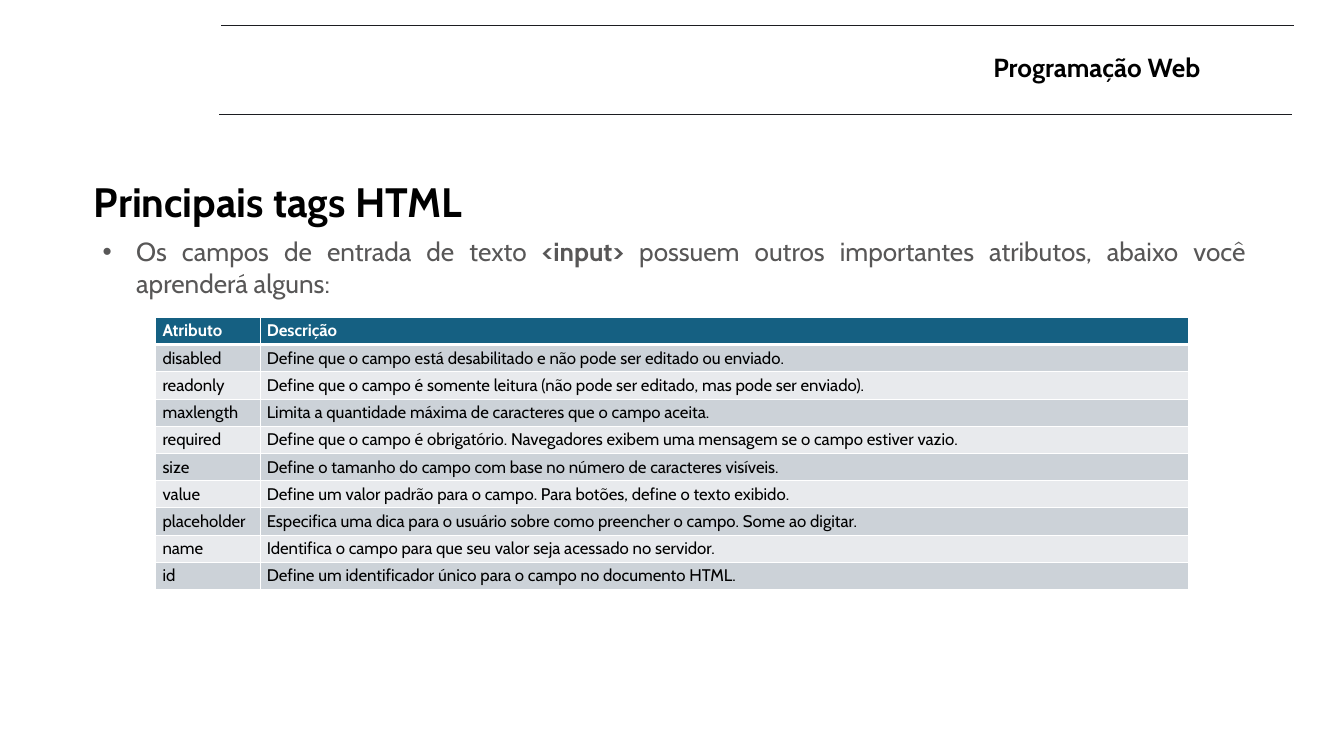
from typing import NamedTuple

from lxml import etree
from pptx import Presentation
from pptx.dml.color import RGBColor
from pptx.enum.shapes import MSO_CONNECTOR
from pptx.enum.text import MSO_ANCHOR, MSO_AUTO_SIZE, PP_ALIGN
from pptx.oxml.ns import qn
from pptx.util import Cm, Pt

FONT = "Cabin"
BLACK = RGBColor(0x00, 0x00, 0x00)
WHITE = RGBColor(0xFF, 0xFF, 0xFF)
GRAY = RGBColor(0x58, 0x57, 0x57)
RULE = RGBColor(0x1C, 0x1D, 0x21)
HEADER_FILL = RGBColor(0x15, 0x60, 0x82)
BAND_FILLS = (RGBColor(0xCC, 0xD2, 0xD8), RGBColor(0xE8, 0xEA, 0xED))

LEFT, CENTER, JUSTIFY = PP_ALIGN.LEFT, PP_ALIGN.CENTER, PP_ALIGN.JUSTIFY
MIDDLE = MSO_ANCHOR.MIDDLE
FIT_SHAPE = MSO_AUTO_SIZE.SHAPE_TO_FIT_TEXT
STRAIGHT = MSO_CONNECTOR.STRAIGHT

COLUMN_WIDTHS = (3.94, 35.08)
ROW_HEIGHT = 1.03


class HeaderRule(NamedTuple):
    left: float
    right: float
    y: float


class TextRun(NamedTuple):
    text: str
    bold: bool = False


class TextBlock(NamedTuple):
    left: float
    top: float
    width: float
    height: float
    runs: tuple[TextRun, ...]
    size: float
    color: RGBColor
    alignment: PP_ALIGN = LEFT
    line_spacing: float = 1.0
    bullet: bool = False


class Attribute(NamedTuple):
    name: str
    description: str


HEADER_RULES = (HeaderRule(8.36, 48.9, 0.97), HeaderRule(8.28, 48.82, 4.34))

TEXT_BLOCKS = (
    TextBlock(34.09, 1.8, 14.73, 1.45, (TextRun("Programação Web", True),),
              28, BLACK, alignment=CENTER),
    TextBlock(3.3, 5.61, 29.72, 2.79, (TextRun("Principais tags HTML", True),),
              44, BLACK, line_spacing=1.5),
    TextBlock(3.63, 8.79, 43.69, 2.64, (
        TextRun("Os campos de entrada de texto "),
        TextRun("<input> ", True),
        TextRun("possuem outros importantes atributos, abaixo você aprenderá alguns:"),
    ), 28, GRAY, alignment=JUSTIFY, bullet=True),
)

TABLE_ROWS = (
    Attribute("Atributo", "Descrição"),
    Attribute("disabled", "Define que o campo está desabilitado e não pode ser editado ou enviado."),
    Attribute("readonly", "Define que o campo é somente leitura (não pode ser editado, mas pode ser enviado)."),
    Attribute("maxlength", "Limita a quantidade máxima de caracteres que o campo aceita."),
    Attribute("required", "Define que o campo é obrigatório. Navegadores exibem uma mensagem se o campo estiver vazio."),
    Attribute("size", "Define o tamanho do campo com base no número de caracteres visíveis."),
    Attribute("value", "Define um valor padrão para o campo. Para botões, define o texto exibido."),
    Attribute("placeholder", "Especifica uma dica para o usuário sobre como preencher o campo. Some ao digitar."),
    Attribute("name", "Identifica o campo para que seu valor seja acessado no servidor."),
    Attribute("id", "Define um identificador único para o campo no documento HTML."),
)


def add_rule(slide, rule: HeaderRule) -> None:
    connector = slide.shapes.add_connector(
        STRAIGHT, Cm(rule.left), Cm(rule.y), Cm(rule.right), Cm(rule.y))
    connector.line.color.rgb = RULE
    connector.line.width = Pt(0.75)
    etree.SubElement(connector._element.spPr, qn("a:effectLst"))


def add_run(paragraph, text_run: TextRun, size: float, color: RGBColor) -> None:
    run = paragraph.add_run()
    run.text = text_run.text
    run.font.name = FONT
    run.font.size = Pt(size)
    run.font.bold = text_run.bold
    run.font.color.rgb = color


def add_bullet(paragraph) -> None:
    properties = paragraph._p.get_or_add_pPr()
    properties.set("marL", str(Cm(1.27)))
    properties.set("indent", str(Cm(-1.27)))
    etree.SubElement(properties, qn("a:buFont")).set("typeface", "Arial")
    etree.SubElement(properties, qn("a:buChar")).set("char", "•")


def add_text(slide, block: TextBlock) -> None:
    shape = slide.shapes.add_textbox(
        Cm(block.left), Cm(block.top), Cm(block.width), Cm(block.height))
    frame = shape.text_frame
    frame.word_wrap = True
    frame.auto_size = FIT_SHAPE
    paragraph = frame.paragraphs[0]
    paragraph.alignment = block.alignment
    paragraph.line_spacing = block.line_spacing
    if block.bullet:
        add_bullet(paragraph)
    for text_run in block.runs:
        add_run(paragraph, text_run, block.size, block.color)


def set_border(cell, side: str, width: float) -> None:
    properties = cell._tc.get_or_add_tcPr()
    line = etree.SubElement(properties, qn(f"a:ln{side}"), w=str(Pt(width)))
    fill = etree.SubElement(line, qn("a:solidFill"))
    etree.SubElement(fill, qn("a:srgbClr"), val=str(WHITE))


def format_cell(cell, text: str, row_index: int) -> None:
    is_header = row_index == 0
    # Borders come before the fill in the cell properties
    set_border(cell, "L", 1)
    set_border(cell, "R", 1)
    set_border(cell, "T", 3 if row_index == 1 else 1)
    set_border(cell, "B", 3 if is_header else 1)
    cell.fill.solid()
    cell.fill.fore_color.rgb = HEADER_FILL if is_header else BAND_FILLS[(row_index - 1) % 2]
    cell.vertical_anchor = MIDDLE
    add_run(cell.text_frame.paragraphs[0], TextRun(text, is_header), 18,
            WHITE if is_header else BLACK)


def add_attribute_table(slide, rows: tuple[Attribute, ...]) -> None:
    table = slide.shapes.add_table(
        len(rows), len(COLUMN_WIDTHS), Cm(5.89), Cm(11.99),
        Cm(sum(COLUMN_WIDTHS)), Cm(ROW_HEIGHT * len(rows))).table
    for column, width in zip(table.columns, COLUMN_WIDTHS):
        column.width = Cm(width)
    for row_index, attribute in enumerate(rows):
        table.rows[row_index].height = Cm(ROW_HEIGHT)
        for column_index, text in enumerate(attribute):
            format_cell(table.cell(row_index, column_index), text, row_index)


def main() -> None:
    presentation = Presentation()
    presentation.slide_width = Cm(50.8)
    presentation.slide_height = Cm(28.58)
    slide = presentation.slides.add_slide(presentation.slide_layouts[6])

    # Header rules
    for rule in HEADER_RULES:
        add_rule(slide, rule)

    # Course name, title and introduction
    for block in TEXT_BLOCKS:
        add_text(slide, block)

    # Input attributes
    add_attribute_table(slide, TABLE_ROWS)

    presentation.save("out.pptx")


if __name__ == "__main__":
    main()
